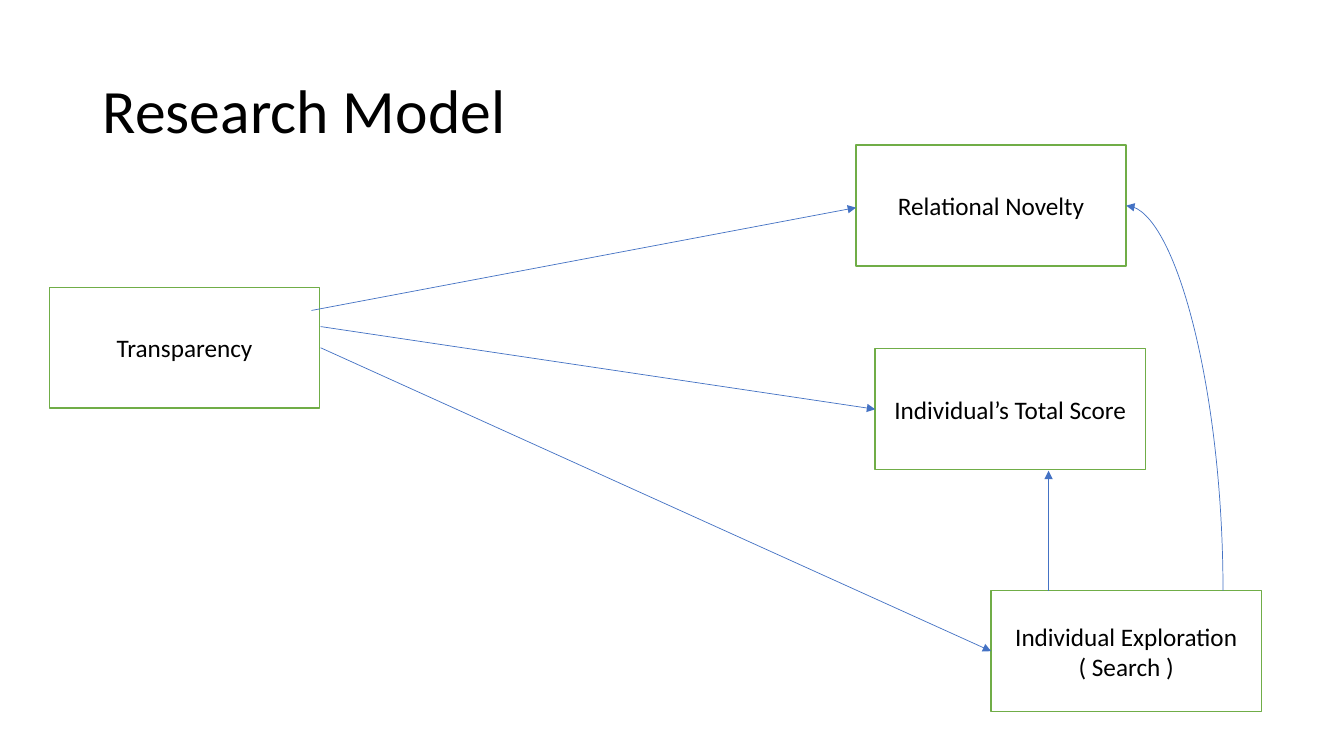
import pptx
import pptx.util
import pptx.dml.color
import pptx.enum.shapes
import pptx.enum.text
import pptx.oxml.ns
import lxml.etree

Inches = pptx.util.Inches
Pt = pptx.util.Pt
Color = pptx.dml.color.RGBColor.from_string
Kind = pptx.enum.shapes.MSO_CONNECTOR
Align = pptx.enum.text.PP_ALIGN
qn = pptx.oxml.ns.qn

theme = {
    "font": "Calibri", "title": 44, "body": 18,
    "text": "000000", "fill": "FFFFFF", "edge": "70AD47", "arrow": "4472C4",
    "edge_w": 1, "arrow_w": 0.5,
}


def write(shape, text, size=theme["body"], align=Align.CENTER, space=1.0):
    frame = shape.text_frame
    frame.text = text
    frame.word_wrap = True
    frame.auto_size = pptx.enum.text.MSO_AUTO_SIZE.NONE
    frame.vertical_anchor = pptx.enum.text.MSO_ANCHOR.MIDDLE
    for para in frame.paragraphs:
        para.alignment = align
        para.line_spacing = space
        for run in para.runs:
            run.font.name = theme["font"]
            run.font.size = Pt(size)
            run.font.color.rgb = Color(theme["text"])


def arrow(slide, kind, start, end):
    line = slide.shapes.add_connector(kind, *map(Inches, start + end))
    line.line.color.rgb = Color(theme["arrow"])
    line.line.width = Pt(theme["arrow_w"])
    props = line._element.spPr
    lxml.etree.SubElement(props.find(qn("a:ln")), qn("a:tailEnd"), type="triangle")
    lxml.etree.SubElement(props, qn("a:effectLst"))
    return line


# Slide
deck = pptx.Presentation()
deck.slide_width = Inches(13.33)
deck.slide_height = Inches(7.5)
slide = deck.slides.add_slide(deck.slide_layouts[5])

# Title
title = slide.shapes.title
title.left, title.top = Inches(0.92), Inches(0.4)
title.width, title.height = Inches(11.5), Inches(1.45)
write(title, "Research Model", size=theme["title"], align=Align.LEFT, space=0.9)

# Model boxes, all of one size
boxes = [
    ("Transparency", 0.49, 2.85),
    ("Individual Exploration\n( Search )", 9.83, 5.86),
    ("Relational Novelty", 8.49, 1.44),
    ("Individual’s Total Score", 8.68, 3.46),
]
for text, left, top in boxes:
    box = slide.shapes.add_shape(
        pptx.enum.shapes.MSO_SHAPE.RECTANGLE,
        Inches(left), Inches(top), Inches(2.68), Inches(1.2))
    box.shadow.inherit = False
    box.fill.solid()
    box.fill.fore_color.rgb = Color(theme["fill"])
    box.line.color.rgb = Color(theme["edge"])
    box.line.width = Pt(theme["edge_w"])
    write(box, text)

# Straight effects
links = [
    ((3.18, 3.45), (9.83, 6.46)),
    ((3.09, 3.08), (8.49, 2.06)),
    ((3.18, 3.24), (8.68, 4.06)),
    ((10.4, 5.86), (10.4, 4.67)),
]
for start, end in links:
    arrow(slide, Kind.STRAIGHT, start, end)

# Curved effect from search to novelty: a quarter bend, turned upright
bend = arrow(slide, Kind.CURVE, (9.74, 4.43), (13.56, 3.47))
props = bend._element.spPr
props.find(qn("a:prstGeom")).set("prst", "curvedConnector2")
props.find(qn("a:xfrm")).set("rot", str(270 * 60000))

deck.save("out.pptx")
